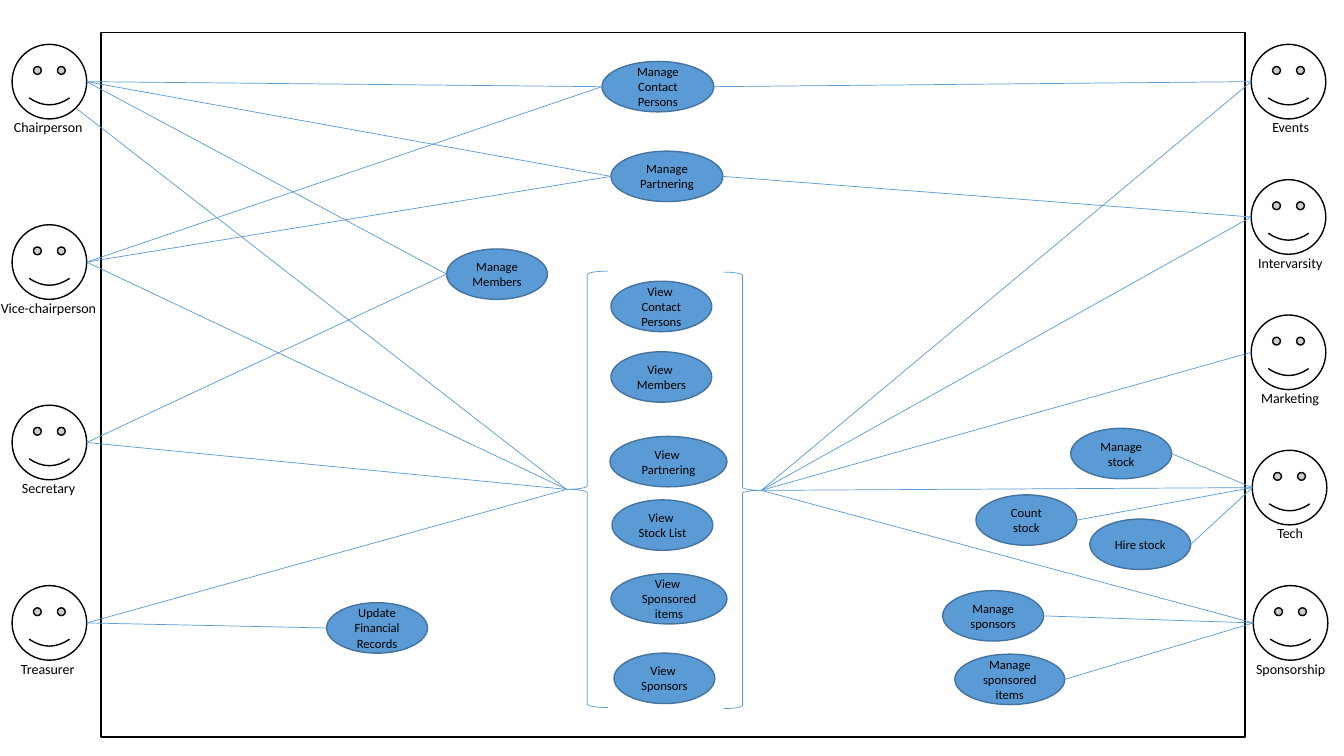
from dataclasses import dataclass
from math import cos, pi

from lxml import etree
from pptx import Presentation
from pptx.dml.color import RGBColor
from pptx.enum.shapes import MSO_CONNECTOR, MSO_SHAPE
from pptx.enum.text import MSO_ANCHOR, MSO_AUTO_SIZE, PP_ALIGN
from pptx.oxml.ns import qn
from pptx.util import Inches, Pt

RECTANGLE, OVAL = MSO_SHAPE.RECTANGLE, MSO_SHAPE.OVAL
FACE, BRACE = MSO_SHAPE.SMILEY_FACE, MSO_SHAPE.LEFT_BRACE
STRAIGHT = MSO_CONNECTOR.STRAIGHT
CENTER, MIDDLE = PP_ALIGN.CENTER, MSO_ANCHOR.MIDDLE
GROW = MSO_AUTO_SIZE.SHAPE_TO_FIT_TEXT


@dataclass(frozen=True)
class Theme:
    font: str = "Calibri"
    black: RGBColor = RGBColor(0x00, 0x00, 0x00)
    white: RGBColor = RGBColor(0xFF, 0xFF, 0xFF)
    blue: RGBColor = RGBColor(0x5B, 0x9B, 0xD5)
    dark_blue: RGBColor = RGBColor(0x43, 0x73, 0x9E)
    label_size: Pt = Pt(10)
    use_case_size: Pt = Pt(9)
    outline: Pt = Pt(1)
    thin: Pt = Pt(0.5)


theme = Theme()
presentation = Presentation()
presentation.slide_width = Inches(13.33)
presentation.slide_height = Inches(7.5)
column = presentation.slide_width / 13.33
row = presentation.slide_height / 7.5
slide = presentation.slides.add_slide(presentation.slide_layouts[6])


def add_outlined(kind, left, top, width, height, fill, line, weight):
    shape = slide.shapes.add_shape(
        kind, round(left * column), round(top * row), round(width * column), round(height * row))
    shape.shadow.inherit = False
    if fill is None:
        shape.fill.background()
    else:
        shape.fill.solid()
        shape.fill.fore_color.rgb = fill
    shape.line.color.rgb = line
    shape.line.width = weight
    return shape


def write_text(shape, text, size, alignment=None):
    shape.text_frame.text = text
    for paragraph in shape.text_frame.paragraphs:
        paragraph.alignment = alignment
        paragraph.font.name = theme.font
        paragraph.font.size = size
        paragraph.font.color.rgb = theme.black


add_outlined(RECTANGLE, 1, 0.32, 11.35, 6.99, theme.white, theme.black, theme.outline)

face_size, first_face, face_span = 0.74, 0.44, 5.37
label_drop, label_height = 0.69, 0.27
actor_columns = [
    [("Chairperson", 0.12, 0.04, 0.89), ("Vice-chairperson", 0.12, -0.09, 1.16),
     ("Secretary", 0.12, 0.12, 0.74), ("Treasurer", 0.12, 0.11, 0.75)],
    [("Events", 12.41, 12.52, 0.58), ("Intervarsity", 12.41, 12.38, 0.85),
     ("Marketing", 12.41, 12.41, 0.79), ("Tech", 12.42, 12.57, 0.47),
     ("Sponsorship", 12.43, 12.36, 0.9)],
]
nodes = {}
for actors in actor_columns:
    pitch = face_span / (len(actors) - 1)
    for index, (name, face_left, label_left, label_width) in enumerate(actors):
        top = first_face + index * pitch
        nodes[name] = add_outlined(
            FACE, face_left, top, face_size, face_size, theme.white, theme.black, theme.outline)
        label = slide.shapes.add_textbox(
            round(label_left * column), round((top + label_drop) * row),
            round(label_width * column), round(label_height * row))
        label.text_frame.word_wrap = False
        label.text_frame.auto_size = GROW
        write_text(label, name, theme.label_size)

use_case_height = 0.5
use_cases = [
    ("Manage Members", 4.43, 2.47, 1),
    ("Manage sponsors", 9.35, 5.86, 1),
    ("Manage sponsored items", 9.47, 6.49, 1.09),
    ("Manage stock", 10.62, 4.25, 1),
    ("Count stock", 9.68, 4.91, 1),
    ("Hire stock", 10.81, 5.15, 1),
    ("Manage Partnering", 6.06, 1.5, 1.11),
    ("Manage Contact Persons", 5.97, 0.61, 1.11),
    ("Update Financial Records", 3.24, 5.98, 1),
    ("View \nSponsors", 6.09, 6.48, 1),
    ("View \nSponsored items", 6.06, 5.69, 1.15),
    ("View \nStock List", 6.07, 4.96, 1),
    ("View \nPartnering", 6.05, 4.33, 1.16),
    ("View \nContact Persons", 6.06, 2.79, 1),
    ("View \nMembers", 6.06, 3.49, 1),
]
for name, left, top, width in use_cases:
    nodes[name] = add_outlined(
        OVAL, left, top, width, use_case_height, theme.blue, theme.dark_blue, theme.outline)
    nodes[name].text_frame.word_wrap = True
    nodes[name].text_frame.vertical_anchor = MIDDLE
    write_text(nodes[name], name, theme.use_case_size, CENTER)

for name, left, top, width in [("left brace", 5.62, 2.69, 0.41), ("right brace", 7.18, 2.7, 0.37)]:
    nodes[name] = add_outlined(BRACE, left, top, width, 4.33, None, theme.blue, theme.thin)
nodes["right brace"].element.spPr.get_or_add_xfrm().set("flipH", "1")

links = {
    "Chairperson": ["Manage Contact Persons", "Manage Partnering", "Manage Members", "left brace"],
    "Vice-chairperson": ["Manage Contact Persons", "Manage Partnering", "left brace"],
    "Secretary": ["Manage Members", "left brace"],
    "Treasurer": ["Update Financial Records", "left brace"],
    "Manage Contact Persons": ["Events"],
    "Manage Partnering": ["Intervarsity"],
    "Manage stock": ["Tech"],
    "Count stock": ["Tech"],
    "Hire stock": ["Tech"],
    "Manage sponsors": ["Sponsorship"],
    "Manage sponsored items": ["Sponsorship"],
    "right brace": ["Events", "Intervarsity", "Marketing", "Tech", "Sponsorship"],
}
for source, targets in links.items():
    for target in targets:
        start, end = nodes[source], nodes[target]
        start_x = start.left + start.width
        start_y = start.top + start.height // 2
        if (source, target) == ("Chairperson", "left brace"):
            diagonal = start.width / 2 * cos(pi / 4)
            start_x = round(start.left + start.width / 2 + diagonal)
            start_y = round(start_y + diagonal)
        link = slide.shapes.add_connector(
            STRAIGHT, start_x, start_y, end.left, end.top + end.height // 2)
        link.line.color.rgb = theme.blue
        link.line.width = theme.thin
        etree.SubElement(link.element.spPr, qn("a:effectLst"))

presentation.save("out.pptx")
